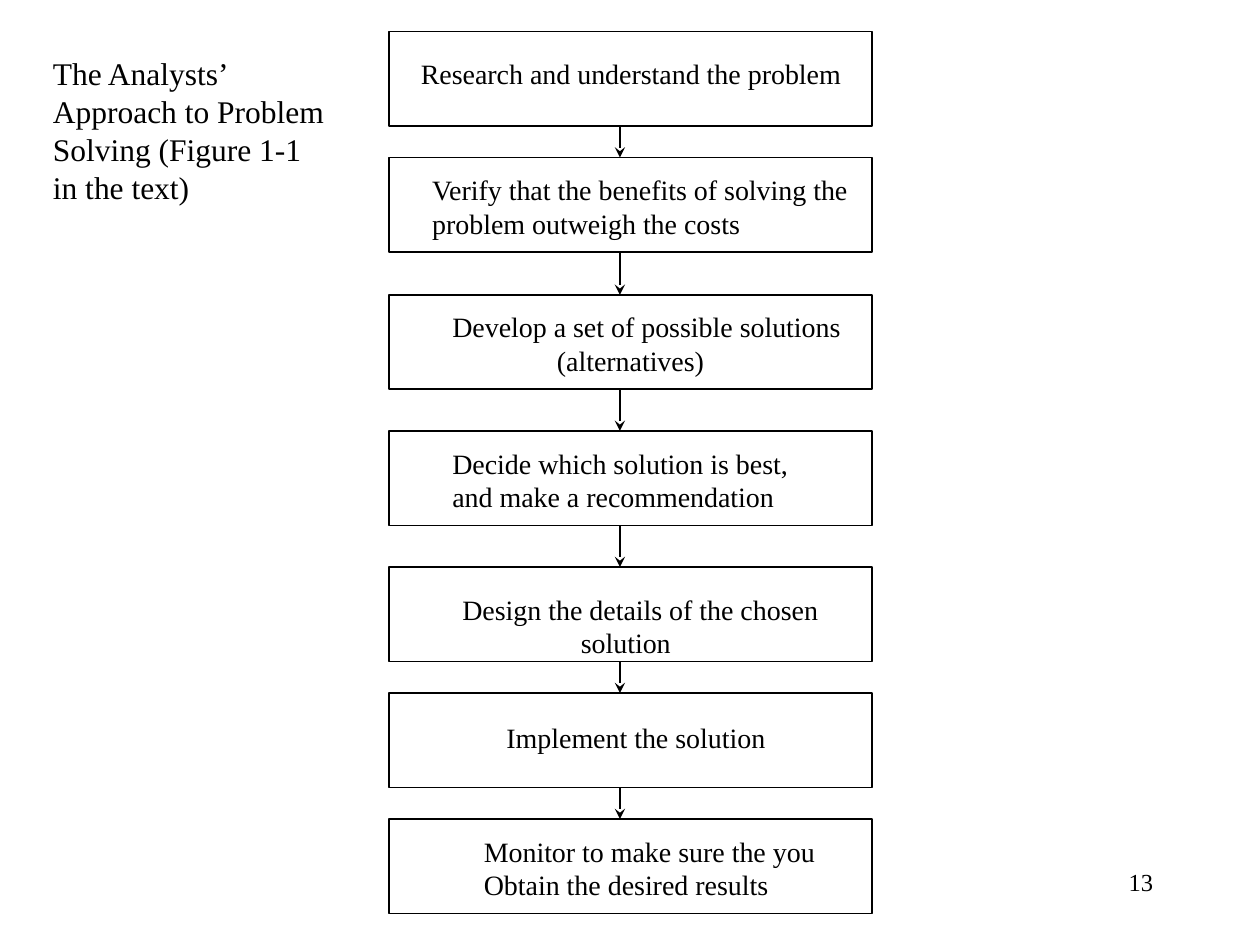
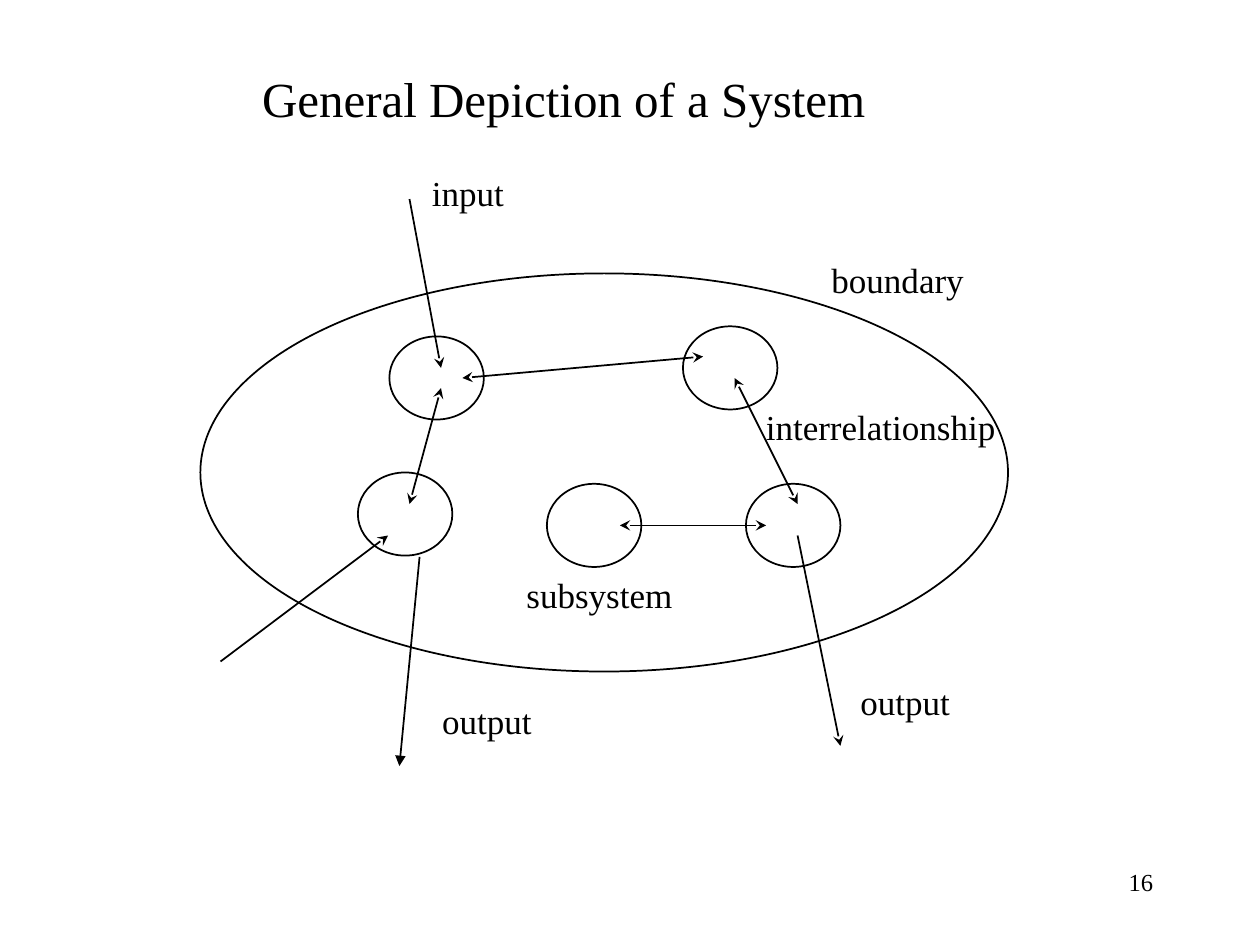
import itertools
from dataclasses import dataclass

import lxml.etree
import pptx
import pptx.dml.color
import pptx.enum.shapes
import pptx.enum.text
import pptx.oxml.ns
import pptx.util

Inches = pptx.util.Inches
Pt = pptx.util.Pt
MSO_SHAPE = pptx.enum.shapes.MSO_SHAPE
PP_ALIGN = pptx.enum.text.PP_ALIGN

COLORS = {"ink": "000000", "paper": "FFFFFF"}
FONT = "Times New Roman"
TITLE_ONLY = 5
LINE_WIDTH = Pt(1)
INSET_X, INSET_Y = 0.1, 0.05

STEP_LEFT, STEP_WIDTH, STEP_HEIGHT = 3.09, 3.83, 0.75
STEP_ARROW_X = 4.92
SUBSYSTEM_WIDTH, SUBSYSTEM_HEIGHT = 0.75, 0.66


@dataclass
class Step:
    top: float
    text: str
    text_left: float
    text_top: float
    last_line_indent: float = 0


@dataclass
class Label:
    text: str
    left: float
    top: float
    width: float


@dataclass
class Arrow:
    start: tuple[float, float]
    end: tuple[float, float]
    head: str = ""
    tail: str = "stealth"


STEPS = [
    Step(0.25, "Research and understand the problem", 0.25, 0.2),
    Step(1.25, "Verify that the benefits of solving the\nproblem outweigh the costs", 0.34, 0.12),
    Step(2.34, "Develop a set of possible solutions\n(alternatives)", 0.5, 0.12, 0.83),
    Step(3.42, "Decide which solution is best,\nand make a recommendation", 0.5, 0.12),
    Step(4.5, "Design the details of the chosen\nsolution", 0.58, 0.2, 0.94),
    Step(5.5, "Implement the solution", 0.93, 0.22),
    Step(6.5, "Monitor to make sure the you\nObtain the desired results", 0.75, 0.12),
]

SUBSYSTEMS = [(3.09, 2.67), (2.84, 3.75), (4.34, 3.84), (5.42, 2.59), (5.92, 3.84)]

LABELS = [
    Label("input", 3.33, 1.31, 0.77),
    Label("output", 6.73, 5.35, 0.91),
    Label("boundary", 6.5, 2, 1.25),
    Label("interrelationship", 5.98, 3.17, 2.03),
    Label("subsystem", 4.08, 4.5, 1.36),
    Label("output", 3.41, 5.5, 0.91),
]

FLOWS = [
    Arrow((3.25, 1.58), (3.5, 2.92)),
    Arrow((6.33, 4.25), (6.67, 5.92)),
    Arrow((3.67, 3), (5.58, 2.83), head="stealth"),
    Arrow((3.5, 3.08), (3.25, 4), head="stealth"),
    Arrow((5.83, 3), (6.33, 4), head="stealth"),
    Arrow((4.92, 4.17), (6.08, 4.17), head="stealth"),
    Arrow((1.75, 5.25), (3.08, 4.25)),
    Arrow((3.33, 4.42), (3.17, 6.08), tail="triangle"),
]


def ink() -> pptx.dml.color.RGBColor:
    return pptx.dml.color.RGBColor.from_string(COLORS["ink"])


def write_text(text_frame, text: str, *, size: float, align=PP_ALIGN.LEFT, wrap: bool = True,
               left: float = INSET_X, right: float = INSET_X, top: float = INSET_Y,
               last_line_indent: float = 0) -> None:
    text_frame.text = text
    text_frame.word_wrap = wrap
    auto_size = pptx.enum.text.MSO_AUTO_SIZE
    text_frame.auto_size = auto_size.NONE if wrap else auto_size.SHAPE_TO_FIT_TEXT
    text_frame.vertical_anchor = pptx.enum.text.MSO_ANCHOR.TOP
    text_frame.margin_left = Inches(left)
    text_frame.margin_right = Inches(right)
    text_frame.margin_top = Inches(top)
    text_frame.margin_bottom = Inches(INSET_Y)
    for paragraph in text_frame.paragraphs:
        paragraph.alignment = align
        for run in paragraph.runs:
            run.font.name = FONT
            run.font.size = Pt(size)
            run.font.color.rgb = ink()
    if last_line_indent:
        properties = text_frame.paragraphs[-1]._p.get_or_add_pPr()
        properties.set("marL", str(Inches(last_line_indent)))


def add_outline(slide, kind, left: float, top: float, width: float, height: float):
    shape = slide.shapes.add_shape(kind, Inches(left), Inches(top), Inches(width), Inches(height))
    shape.shadow.inherit = False
    shape.fill.background()
    shape.line.color.rgb = ink()
    shape.line.width = LINE_WIDTH
    return shape


def add_arrow(slide, arrow: Arrow) -> None:
    connector = slide.shapes.add_connector(
        pptx.enum.shapes.MSO_CONNECTOR.STRAIGHT,
        *(Inches(value) for value in arrow.start + arrow.end))
    connector.line.color.rgb = ink()
    connector.line.width = LINE_WIDTH
    qn = pptx.oxml.ns.qn
    line = connector.line._get_or_add_ln()
    for tag, kind in (("a:headEnd", arrow.head), ("a:tailEnd", arrow.tail)):
        if kind:
            lxml.etree.SubElement(line, qn(tag), type=kind)
    lxml.etree.SubElement(connector._element.spPr, qn("a:effectLst"))


def add_label(slide, label: Label) -> None:
    box = slide.shapes.add_textbox(
        Inches(label.left), Inches(label.top), Inches(label.width), Inches(0.43))
    write_text(box.text_frame, label.text, size=20, wrap=False)


def add_step(slide, step: Step) -> None:
    box = add_outline(slide, MSO_SHAPE.RECTANGLE, STEP_LEFT, step.top, STEP_WIDTH, STEP_HEIGHT)
    write_text(box.text_frame, step.text, size=16, left=step.text_left, right=0,
               top=step.text_top, last_line_indent=step.last_line_indent)


def start_slide(presentation, number: int, title: str, *, size: float, left: float, top: float,
                width: float, height: float):
    slide = presentation.slides.add_slide(presentation.slide_layouts[TITLE_ONLY])
    slide.background.fill.solid()
    slide.background.fill.fore_color.rgb = pptx.dml.color.RGBColor.from_string(COLORS["paper"])
    heading = slide.shapes.title
    heading.left, heading.top = Inches(left), Inches(top)
    heading.width, heading.height = Inches(width), Inches(height)
    write_text(heading.text_frame, title, size=size)
    footer = slide.shapes.add_textbox(Inches(7.17), Inches(6.83), Inches(2.08), Inches(0.5))
    write_text(footer.text_frame, str(number), size=14, align=PP_ALIGN.RIGHT)
    return slide


def build_problem_solving(presentation) -> None:
    title = "The Analysts’\nApproach to Problem\nSolving (Figure 1-1\nin the text)"
    slide = start_slide(presentation, 13, title, size=18,
                        left=0.32, top=0.38, width=2.5, height=1.3)
    for step in STEPS:
        add_step(slide, step)
    for step, following in itertools.pairwise(STEPS):
        add_arrow(slide, Arrow((STEP_ARROW_X, step.top + STEP_HEIGHT),
                               (STEP_ARROW_X, following.top)))


def build_system(presentation) -> None:
    slide = start_slide(presentation, 16, "General Depiction of a System", size=28,
                        left=1.98, top=0.49, width=5.2, height=0.57)
    add_outline(slide, MSO_SHAPE.OVAL, 1.59, 2.17, 6.41, 3.16)
    for left, top in SUBSYSTEMS:
        add_outline(slide, MSO_SHAPE.OVAL, left, top, SUBSYSTEM_WIDTH, SUBSYSTEM_HEIGHT)
    for flow in FLOWS:
        add_arrow(slide, flow)
    for label in LABELS:
        add_label(slide, label)


def main() -> None:
    presentation = pptx.Presentation()
    presentation.slide_width = Inches(10)
    presentation.slide_height = Inches(7.5)
    build_problem_solving(presentation)
    build_system(presentation)
    presentation.save("out.pptx")


if __name__ == "__main__":
    main()
